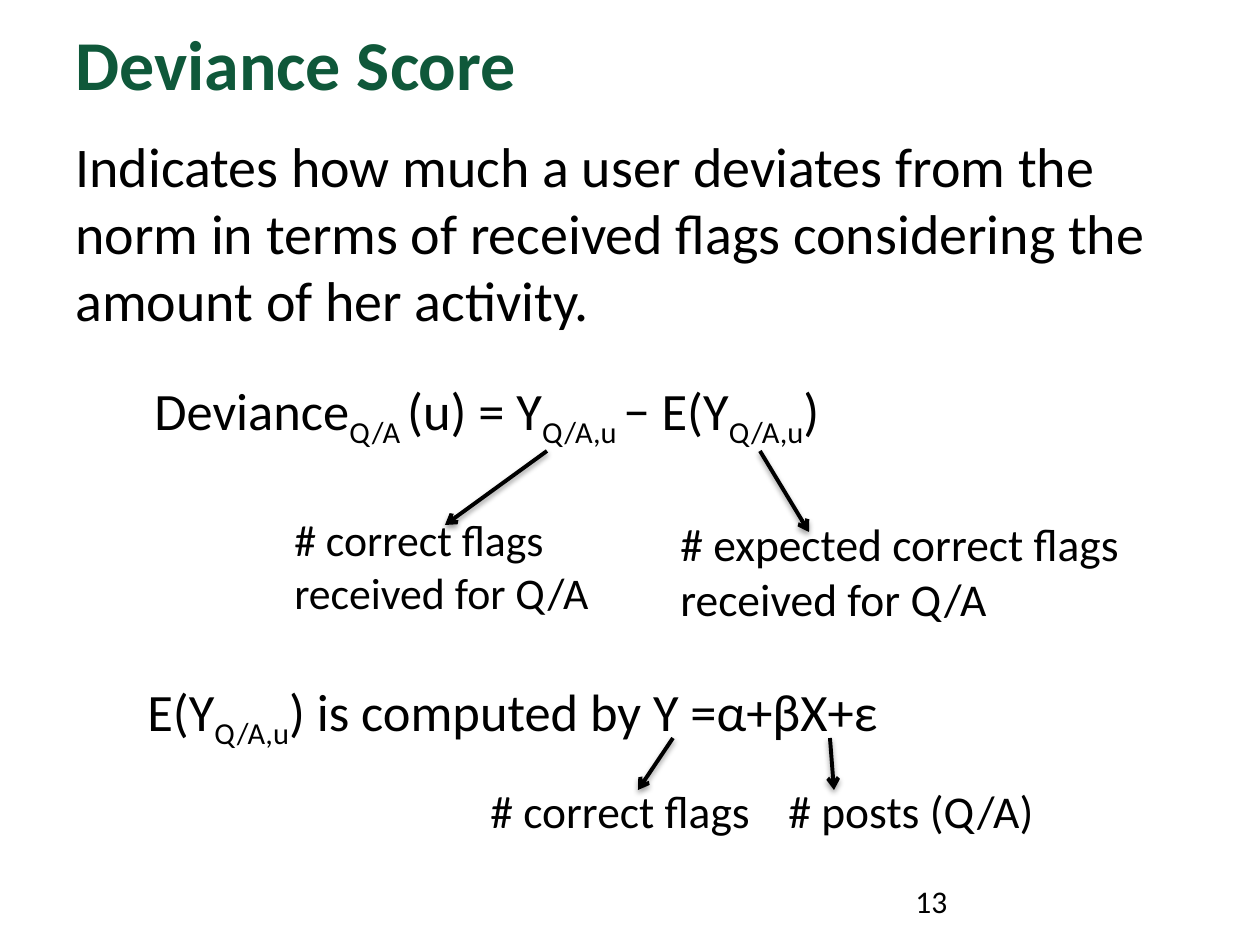
from lxml.etree import SubElement
from pptx import Presentation
from pptx.dml.color import RGBColor
from pptx.enum.shapes import MSO_CONNECTOR as Link
from pptx.enum.text import MSO_ANCHOR as Anchor, PP_ALIGN as Align
from pptx.oxml import parse_xml
from pptx.oxml.ns import nsdecls, qn
from pptx.util import Emu, Pt

SCALE = 914400 / 126
COLORS = {"title": "0F583A", "text": "000000", "line": "000000"}
FONT = "Calibri"
SHADOW = (
    f'<a:effectLst {nsdecls("a")}>'
    '<a:outerShdw blurRad="40000" dist="20000" dir="5400000" rotWithShape="0">'
    '<a:srgbClr val="000000"><a:alpha val="38000"/></a:srgbClr>'
    '</a:outerShdw></a:effectLst>'
)


def px(n):
    return Emu(round(n * SCALE))


def rgb(name):
    return RGBColor.from_string(COLORS[name])


def write(shape, text, size=26, color="text", bold=False, anchor=Anchor.TOP):
    frame = shape.text_frame
    frame.word_wrap = True
    frame.vertical_anchor = anchor
    for i, line in enumerate(text.split("\n")):
        para = frame.paragraphs[0] if i == 0 else frame.add_paragraph()
        para.alignment = Align.LEFT
        for j, part in enumerate(line.split("|")):
            run = para.add_run()
            run.text = part
            font = run.font
            font.name = FONT
            font.size = Pt(size)
            font.bold = bold
            font.color.rgb = rgb(color)
            if j % 2:
                run._r.get_or_add_rPr().set("baseline", "-25000")


def place(shape, box):
    shape.left, shape.top, shape.width, shape.height = map(px, box)


def add_title(slide, text, box):
    title = slide.shapes.title
    place(title, box)
    write(title, text, size=40, color="title", bold=True, anchor=Anchor.MIDDLE)


def add_text(slide, text, box, **style):
    write(slide.shapes.add_textbox(*map(px, box)), text, **style)


def add_arrow(slide, ends):
    arrow = slide.shapes.add_connector(Link.STRAIGHT, *map(px, ends))
    arrow.line.color.rgb = rgb("line")
    arrow.line.width = Pt(2.25)
    SubElement(arrow.line._get_or_add_ln(), qn("a:tailEnd"), type="arrow")
    arrow._element.spPr.append(parse_xml(SHADOW))


def main():
    prs = Presentation()
    prs.slide_width, prs.slide_height = px(1260), px(945)
    slide = prs.slides.add_slide(prs.slide_layouts[5])

    add_title(slide, "Deviance Score", (63, -16, 1134, 158))
    add_text(
        slide,
        "Indicates how much a user deviates from the norm in terms of "
        "received flags considering the amount of her activity.",
        (63, 125, 1134, 215), size=32,
    )
    add_text(slide, "13", (903, 876, 294, 50), size=18)

    add_text(slide, "Deviance|Q/A |(u) = Y|Q/A,u |− E(Y|Q/A,u|)",
             (142, 372, 726, 140), size=30)
    add_text(slide, "E(Y|Q/A,u|) is computed by Y =α+βX+ε",
             (135, 673, 775, 140), size=30)

    add_text(slide, "# correct flags\nreceived for Q/A",
             (282, 507, 330, 171), size=25)
    add_text(slide, "# expected correct flags\nreceived for Q/A",
             (668, 510, 470, 123))
    add_text(slide, "# correct flags", (478, 777, 289, 68))
    add_text(slide, "# posts (Q/A)", (776, 777, 272, 68))

    for ends in (
        (547, 451, 445, 525),
        (760, 451, 809, 532),
        (673, 738, 638, 790),
        (830, 738, 834, 790),
    ):
        add_arrow(slide, ends)

    prs.save("out.pptx")


if __name__ == "__main__":
    main()
